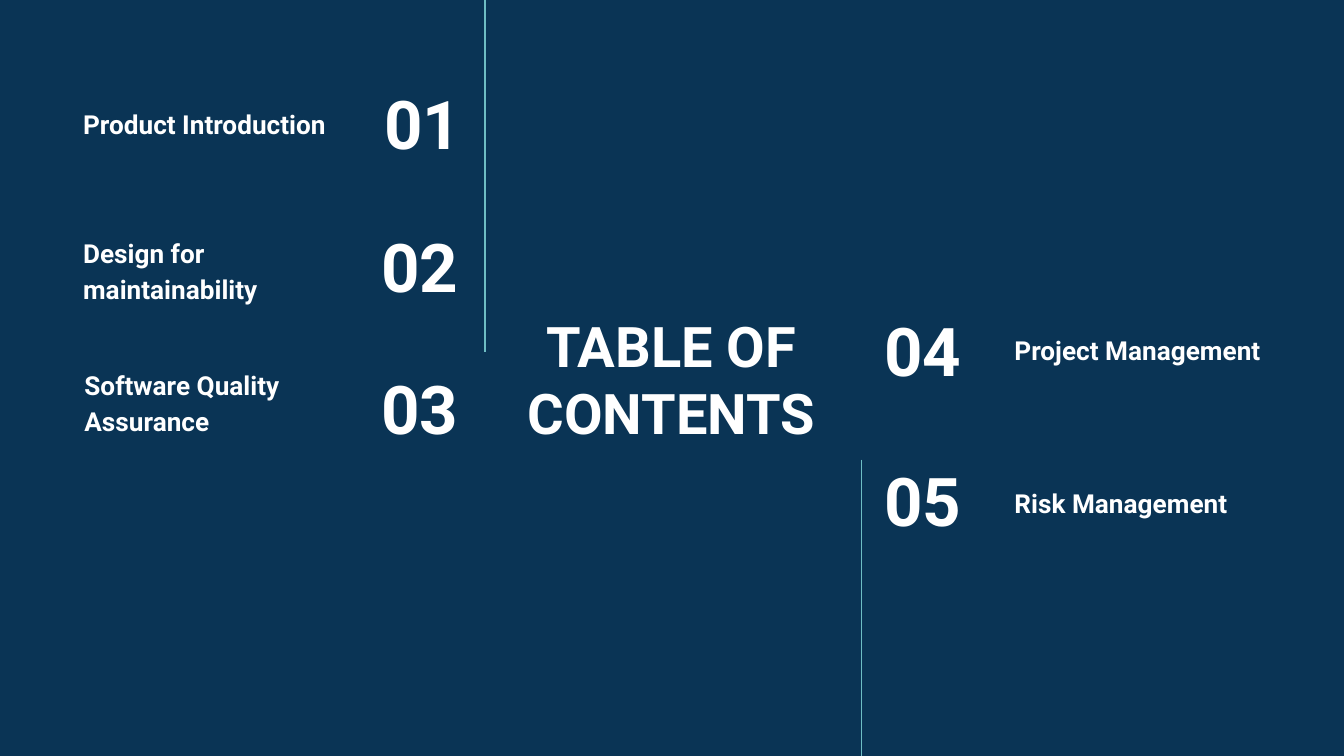
from pptx import Presentation
from pptx.dml.color import RGBColor as RGB
from pptx.enum.shapes import MSO_CONNECTOR as CONNECTOR
from pptx.enum.text import MSO_ANCHOR as ANCHOR, PP_ALIGN as ALIGN
from pptx.util import Pt
from lxml import etree

PX = 9144
THEME = {
    "font": "Roboto",
    "background": RGB(0x0A, 0x34, 0x55),
    "text": RGB(0xFF, 0xFF, 0xFF),
    "rule": RGB(0x6E, 0xBD, 0xC4),
    "title_size": 30,
    "number_size": 36,
    "topic_size": 14,
    "rule_width": 0.75,
}
DRAWING = "http://schemas.openxmlformats.org/drawingml/2006/main"

deck = Presentation()
deck.slide_width = 1000 * PX
deck.slide_height = deck.slide_width * 9 // 16
page = deck.slides.add_slide(deck.slide_layouts[6])
page.background.fill.solid()
page.background.fill.fore_color.rgb = THEME["background"]


def add_text(text, left, top, width, height, size, align, anchor=ANCHOR.MIDDLE, spacing=1.0):
    box = page.shapes.add_textbox(left * PX, top * PX, width * PX, height * PX)
    frame = box.text_frame
    frame.word_wrap = True
    frame.vertical_anchor = anchor
    frame.margin_left = frame.margin_right = 10 * PX
    frame.margin_top = frame.margin_bottom = 10 * PX
    frame.text = text
    para = frame.paragraphs[0]
    para.alignment = align
    para.line_spacing = spacing
    span = para.runs[0]
    span.font.name = THEME["font"]
    span.font.size = Pt(size)
    span.font.bold = True
    span.font.color.rgb = THEME["text"]


add_text("TABLE OF CONTENTS", 370, 230, 259, 103, THEME["title_size"], ALIGN.CENTER)

topics = [
    ("Product Introduction", 52, 51),
    ("Design for maintainability", 52, 174),
    ("Software Quality Assurance", 53, 272),
    ("Project Management", 745, 219),
    ("Risk Management", 745, 333),
]
for topic, left, top in topics:
    add_text(topic, left, top, 216, 63, THEME["topic_size"], ALIGN.LEFT, ANCHOR.BOTTOM, 1.15)

numbers = [
    ("01", 232, 60, 121, ALIGN.RIGHT),
    ("02", 230, 166, 121, ALIGN.RIGHT),
    ("03", 230, 272, 121, ALIGN.RIGHT),
    ("04", 648, 229, 117, ALIGN.LEFT),
    ("05", 648, 340, 117, ALIGN.LEFT),
]
for number, left, top, width, align in numbers:
    add_text(number, left, top, width, 63, THEME["number_size"], align)

for x, top, bottom in [(361, 0, 262 * PX), (641, 342, deck.slide_height)]:
    rule = page.shapes.add_connector(CONNECTOR.STRAIGHT, x * PX, top * PX, x * PX, bottom)
    rule.line.color.rgb = THEME["rule"]
    rule.line.width = Pt(THEME["rule_width"])
    etree.SubElement(rule._element.spPr, f"{{{DRAWING}}}effectLst")

deck.save("out.pptx")
